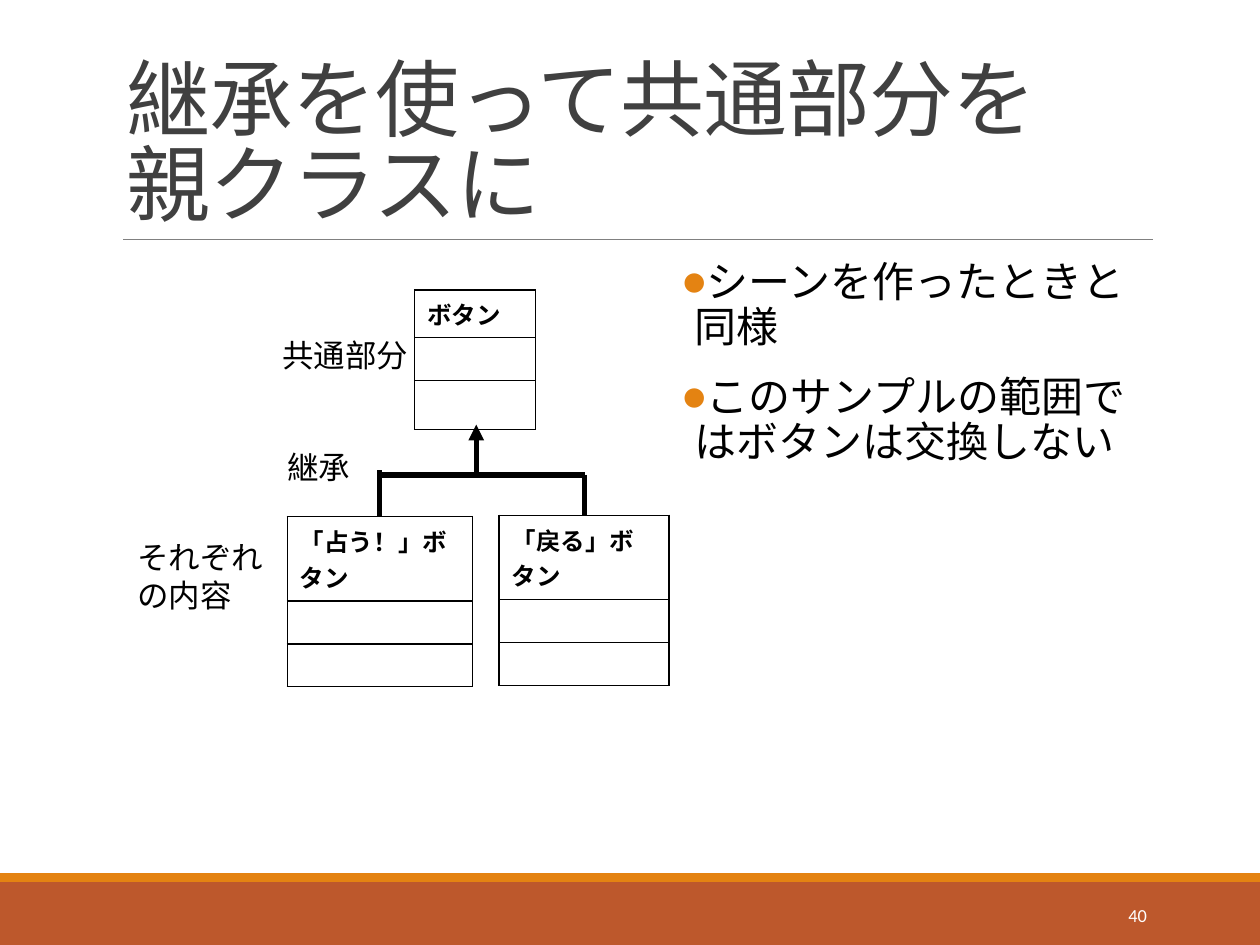
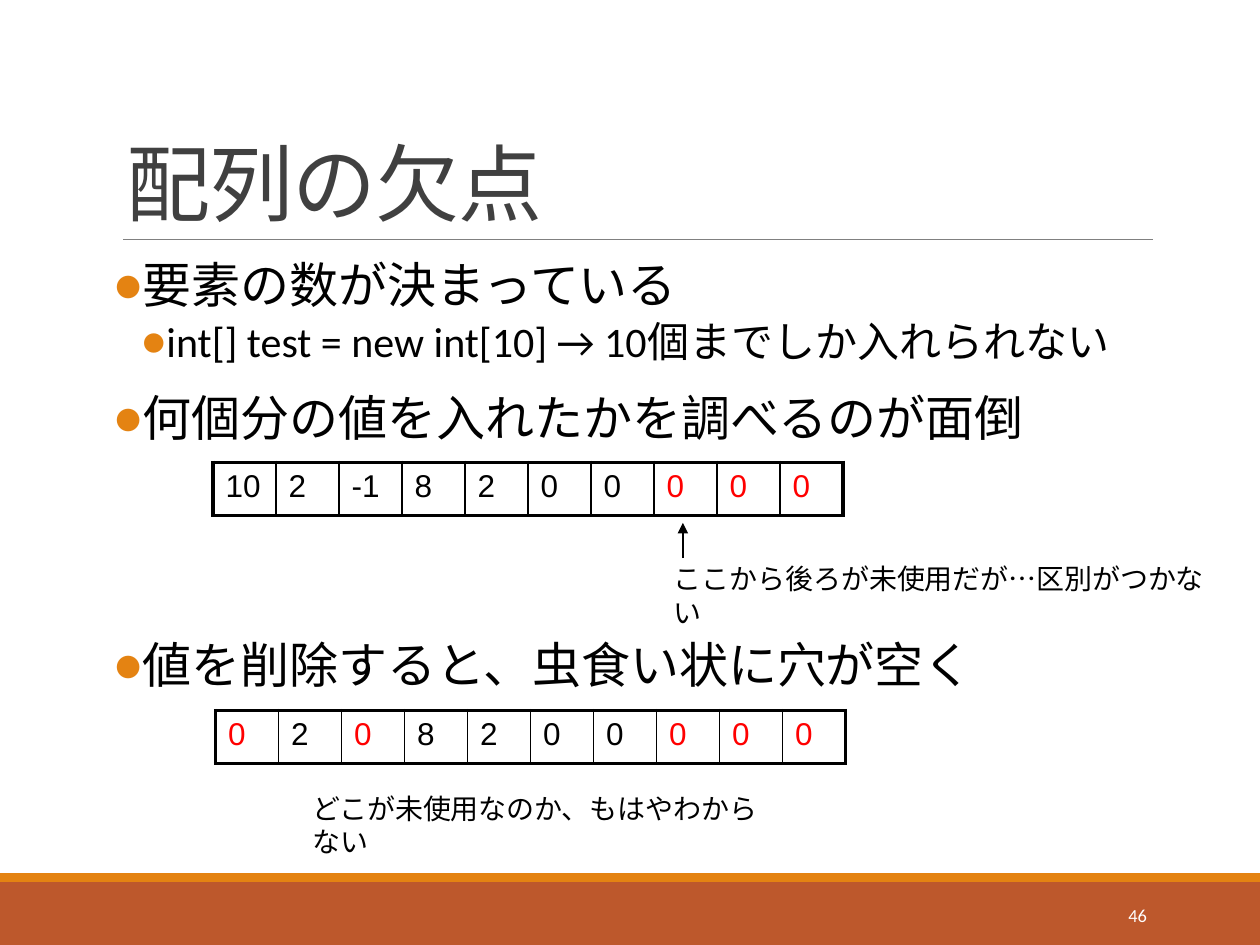
"""Builds two lecture slides on shared button classes and the limits of arrays."""
import dataclasses

import lxml.etree
import pptx
import pptx.dml.color
import pptx.enum.shapes
import pptx.enum.text
import pptx.oxml.ns
import pptx.util

Inches = pptx.util.Inches
Pt = pptx.util.Pt
qn = pptx.oxml.ns.qn
ALIGN = pptx.enum.text.PP_ALIGN
ANCHOR = pptx.enum.text.MSO_ANCHOR


@dataclasses.dataclass(frozen=True)
class Theme:
    font: str = "Calibri"
    cell_font: str = "Arial"
    ink: str = "000000"
    title: str = "404040"
    rule: str = "808080"
    band: str = "BD582C"
    accent: str = "E48312"
    paper: str = "FFFFFF"
    unused: str = "FF0000"
    title_size: float = 48
    point_size: float = 28
    sub_size: float = 24
    label_size: float = 18
    note_size: float = 16
    class_size: float = 14
    number_size: float = 10.5


def rgb(color):
    return pptx.dml.color.RGBColor.from_string(color)


def sub(parent, tag, **attrs):
    return lxml.etree.SubElement(parent, qn(tag), attrs)


def write(p, text, size, color=Theme.ink, font=Theme.font, bold=False, align=None,
          spacing=None, before=0, after=0, tracking=None):
    p.text = text
    p.alignment = align
    p.line_spacing = spacing
    p.space_before, p.space_after = Pt(before), Pt(after)
    for r in p.runs:
        r.font.name, r.font.size, r.font.bold = font, Pt(size), bold
        r.font.color.rgb = rgb(color)
        if tracking:
            r.font._element.set("spc", str(int(tracking * 100)))


def bullet(p, left, hang, color):
    pPr = p._p.get_or_add_pPr()
    pPr.set("marL", str(Inches(left)))
    pPr.set("indent", str(-Inches(hang)))
    sub(sub(pPr, "a:buClr"), "a:srgbClr", val=color)
    sub(pPr, "a:buFont", typeface=Theme.font)
    sub(pPr, "a:buChar", char="●")


def border(cell, edges, color):
    tcPr = cell._tc.get_or_add_tcPr()
    for side, width in zip("LRTB", edges):
        ln = sub(tcPr, f"a:ln{side}", w=str(Pt(width)))
        sub(sub(ln, "a:solidFill"), "a:srgbClr", val=color)


class Deck:
    def __init__(self, theme):
        self.t = theme
        self.prs = pptx.Presentation()
        self.prs.slide_width, self.prs.slide_height = Inches(10), Inches(7.5)
        self.s = None

    def slide(self, title, number):
        t = self.t
        self.s = self.prs.slides.add_slide(self.prs.slide_layouts[5])
        self.band(7, 0.5, t.band)
        self.band(6.93, 0.07, t.accent)
        self.line(0.98, 1.9, 9.15, 1.9, 0.5, color=t.rule)
        sp = self.s.shapes.title
        sp.left, sp.top, sp.width, sp.height = map(Inches, (0.9, 0.31, 8.25, 1.59))
        tf = sp.text_frame
        tf.auto_size = pptx.enum.text.MSO_AUTO_SIZE.NONE
        tf.vertical_anchor = ANCHOR.BOTTOM
        write(tf.paragraphs[0], title, t.title_size, t.title, align=ALIGN.LEFT,
              spacing=0.85, tracking=-0.5)
        self.text(8.12, 7.06, 1.08, 0.4, [number], t.number_size, color=t.paper,
                  align=ALIGN.RIGHT, anchor=ANCHOR.MIDDLE)

    def band(self, y, h, color):
        sp = self.s.shapes.add_shape(pptx.enum.shapes.MSO_SHAPE.RECTANGLE,
                                     0, Inches(y), Inches(10), Inches(h))
        sp.shadow.inherit = False
        sp.fill.solid()
        sp.fill.fore_color.rgb = rgb(color)
        sp.line.fill.background()

    def line(self, x1, y1, x2, y2, width, color=Theme.ink, arrow=False):
        sp = self.s.shapes.add_connector(pptx.enum.shapes.MSO_CONNECTOR.STRAIGHT,
                                         *map(Inches, (x1, y1, x2, y2)))
        sp.line.width = Pt(width)
        sp.line.color.rgb = rgb(color)
        if arrow:
            sub(sp.line._get_or_add_ln(), "a:tailEnd", type="triangle")
        sub(sp._element.spPr, "a:effectLst")

    def box(self, x, y, w, h, wrap=True):
        tf = self.s.shapes.add_textbox(*map(Inches, (x, y, w, h))).text_frame
        tf.word_wrap = wrap
        return tf

    def text(self, x, y, w, h, lines, size, wrap=True, anchor=ANCHOR.TOP, **fmt):
        tf = self.box(x, y, w, h, wrap)
        tf.vertical_anchor = anchor
        for i, line in enumerate(lines):
            write(tf.add_paragraph() if i else tf.paragraphs[0], line, size, **fmt)

    def bullets(self, x, w, h, size, points):
        tf = self.box(x, 2.02, w, h)
        tf.margin_left = tf.margin_right = 0
        for i, (level, text, before) in enumerate(points):
            p = tf.add_paragraph() if i else tf.paragraphs[0]
            write(p, text, self.t.sub_size if level else size, spacing=0.9,
                  before=before, after=4 if level else 2)
            p.level = level
            bullet(p, *((0.42, 0.2) if level else (0.1, 0.1)), self.t.accent)

    def table(self, x, y, widths, heights):
        tbl = self.s.shapes.add_table(len(heights), len(widths), Inches(x), Inches(y),
                                      Inches(sum(widths)), Inches(sum(heights))).table
        tbl.first_row = tbl.horz_banding = False
        for col, w in zip(tbl.columns, widths):
            col.width = Inches(w)
        for row, h in zip(tbl.rows, heights):
            row.height = Inches(h)
        return tbl

    def class_box(self, x, y, w, name, heights):
        tbl = self.table(x, y, [w], heights)
        for cell in tbl.iter_cells():
            border(cell, [1] * 4, self.t.ink)
            cell.fill.background()
            cell.margin_top = cell.margin_bottom = 0
        head = tbl.cell(0, 0)
        head.margin_top = head.margin_bottom = Inches(0.05)
        write(head.text_frame.paragraphs[0], name, self.t.class_size, bold=True)

    def array(self, x, y, values, unused):
        tbl = self.table(x, y, [0.5] * len(values), [0.42])
        last = len(values) - 1
        for i, value in enumerate(values):
            cell = tbl.cell(0, i)
            border(cell, [1 if i else 2.25, 1 if i < last else 2.25, 2.25, 2.25], self.t.ink)
            cell.fill.background()
            write(cell.text_frame.paragraphs[0], str(value), self.t.label_size,
                  self.t.unused if i in unused else self.t.ink, self.t.cell_font)


def inheritance_slide(d):
    t = d.t
    d.slide("継承を使って共通部分を\v親クラスに", "40")
    d.bullets(5.41, 3.74, 4.81, t.sub_size, [
        (0, "シーンを作ったときと同様", 12),
        (0, "このサンプルの範囲ではボタンは交換しない", 12)])
    d.class_box(3.29, 2.3, 0.96, "ボタン", [0.38, 0.34, 0.39])
    d.class_box(2.28, 4.1, 1.47, "「占う！」ボタン", [0.67, 0.34, 0.34])
    d.class_box(3.96, 4.09, 1.35, "「戻る」ボタン", [0.67, 0.34, 0.34])
    d.line(3.78, 3.76, 3.78, 3.37, 3, arrow=True)
    d.line(3.01, 4.1, 3.01, 3.73, 3)
    d.line(4.64, 3.77, 4.64, 4.09, 3)
    d.line(3.01, 3.77, 4.64, 3.77, 3)
    d.text(2.18, 3.51, 0.71, 0.4, ["継承"], t.label_size, wrap=False)
    d.text(2.14, 2.62, 1.21, 0.4, ["共通部分"], t.label_size, wrap=False)
    d.text(0.99, 4.22, 1.21, 0.71, ["それぞれ", "の内容"], t.label_size, wrap=False)


def array_slide(d):
    t = d.t
    d.slide("配列の欠点", "46")
    d.bullets(0.9, 8.25, 4.15, t.point_size, [
        (0, "要素の数が決まっている", 12),
        (1, "int[] test = new int[10] → 10個までしか入れられない", 2),
        (0, "何個分の値を入れたかを調べるのが面倒", 12),
        (0, "値を削除すると、虫食い状に穴が空く", 109)])
    d.array(1.69, 3.67, [10, 2, -1, 8, 2, 0, 0, 0, 0, 0], {7, 8, 9})
    d.line(5.42, 4.43, 5.42, 4.15, 0.75, arrow=True)
    d.text(5.25, 4.41, 4.42, 0.37, ["ここから後ろが未使用だが…区別がつかない"], t.note_size)
    d.array(1.71, 5.64, [0, 2, 0, 8, 2, 0, 0, 0, 0, 0], {0, 2, 7, 8, 9})
    d.text(2.38, 6.23, 3.91, 0.37, ["どこが未使用なのか、もはやわからない"], t.note_size)


def main():
    d = Deck(Theme())
    inheritance_slide(d)
    array_slide(d)
    d.prs.save("out.pptx")


if __name__ == "__main__":
    main()
